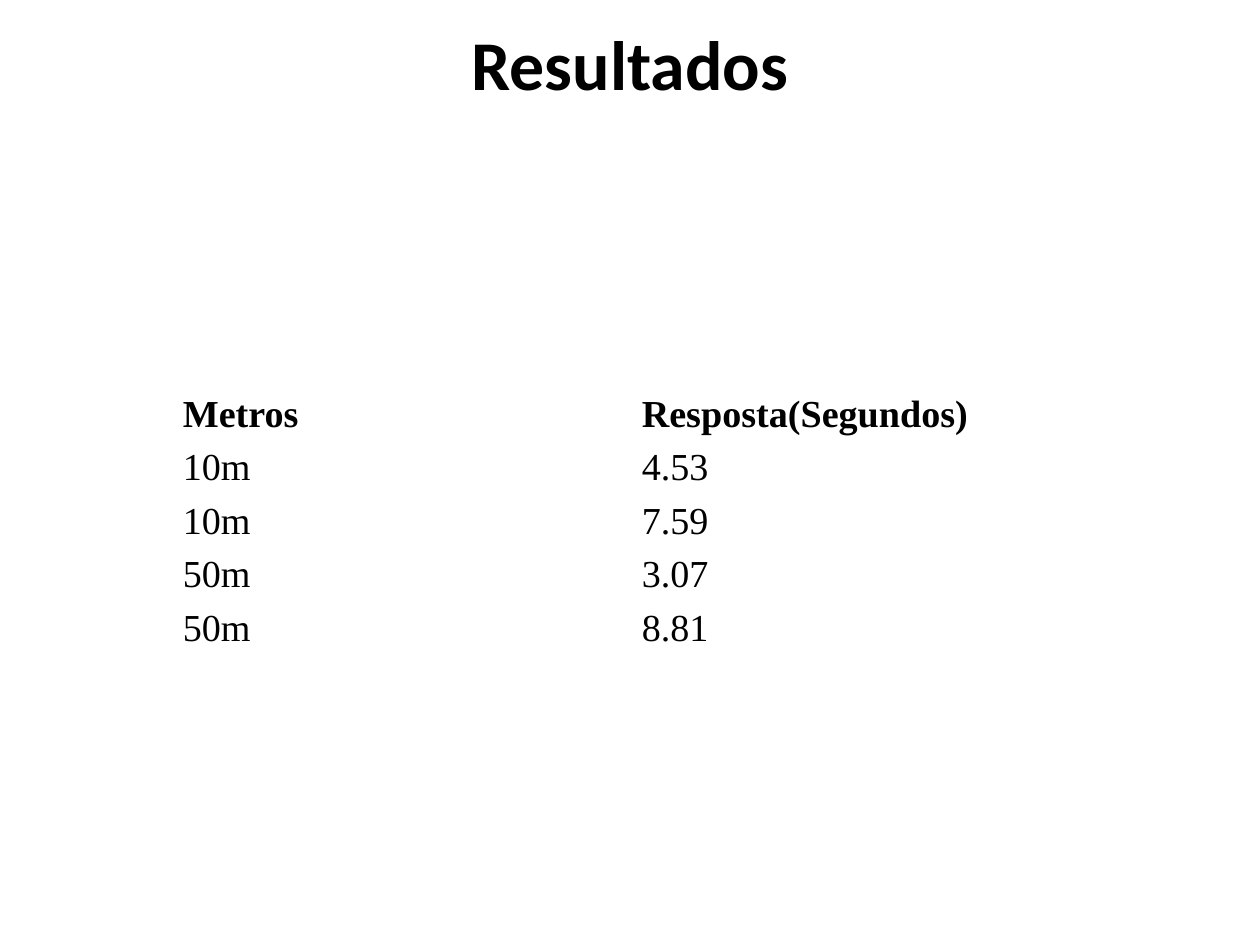
from dataclasses import dataclass

from pptx import Presentation
from pptx.dml.color import RGBColor
from pptx.enum.text import MSO_ANCHOR, PP_ALIGN
from pptx.util import Cm, Pt

CENTER = PP_ALIGN.CENTER
MIDDLE = MSO_ANCHOR.MIDDLE
TITLE_ONLY_LAYOUT = 5


@dataclass(frozen=True)
class Theme:
    text_color: RGBColor = RGBColor(0, 0, 0)
    title_font: str = "Calibri"
    title_size: Pt = Pt(44)
    table_font: str = "Times New Roman"
    table_size: Pt = Pt(24)


THEME = Theme()

RESULTS = [
    ("Metros", "Resposta(Segundos)"),
    ("10m", "4.53"),
    ("10m", "7.59"),
    ("50m", "3.07"),
    ("50m", "8.81"),
]


def format_paragraph(paragraph, font_name, size, bold):
    font = paragraph.font
    font.name = font_name
    font.size = size
    font.bold = bold
    font.color.rgb = THEME.text_color


def set_title(slide, text):
    title = slide.shapes.title
    title.left, title.top = Cm(1.4), Cm(0.2)
    title.width, title.height = Cm(25.2), Cm(2.4)
    frame = title.text_frame
    frame.text = text
    frame.vertical_anchor = MIDDLE
    frame.margin_left = frame.margin_right = Cm(0)
    frame.margin_top = frame.margin_bottom = Cm(0)
    paragraph = frame.paragraphs[0]
    paragraph.alignment = CENTER
    format_paragraph(paragraph, THEME.title_font, THEME.title_size, True)


def add_results_table(slide, rows):
    row_height = Cm(0.94)
    table = slide.shapes.add_table(
        len(rows), len(rows[0]), Cm(3.81), Cm(8.61), Cm(20.4), row_height * len(rows)
    ).table
    table.first_row = False
    table.horz_banding = False
    for row_index, values in enumerate(rows):
        for column_index, value in enumerate(values):
            cell = table.cell(row_index, column_index)
            cell.text = value
            cell.fill.background()
            format_paragraph(
                cell.text_frame.paragraphs[0],
                THEME.table_font,
                THEME.table_size,
                row_index == 0,
            )


def main():
    presentation = Presentation()
    presentation.slide_width = Cm(28)
    presentation.slide_height = Cm(21)
    layout = presentation.slide_layouts[TITLE_ONLY_LAYOUT]
    slide = presentation.slides.add_slide(layout)
    set_title(slide, "Resultados")
    add_results_table(slide, RESULTS)
    presentation.save("out.pptx")


if __name__ == "__main__":
    main()
